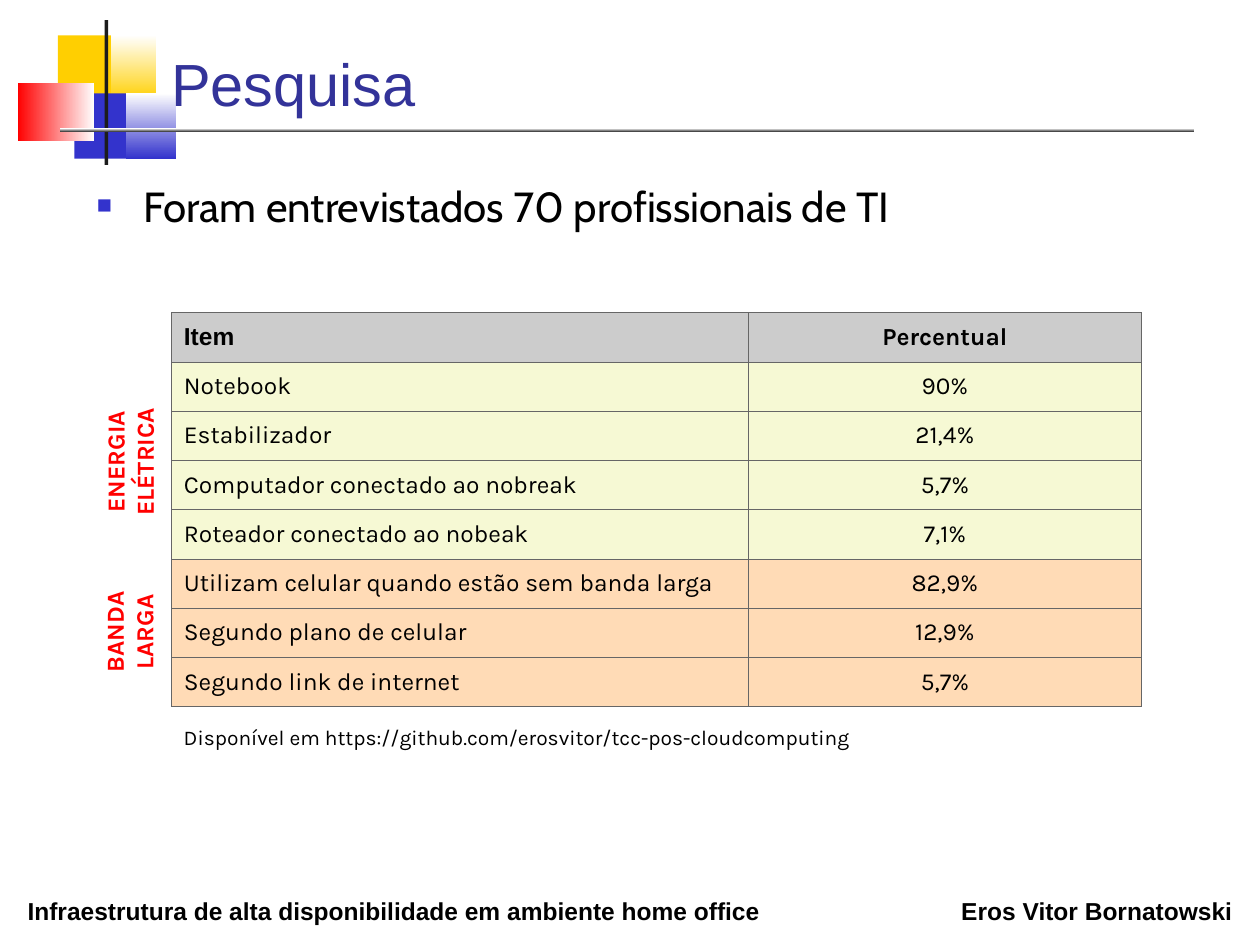
from lxml.etree import SubElement
from pptx import Presentation
from pptx.dml.color import RGBColor
from pptx.enum.shapes import MSO_SHAPE
from pptx.enum.text import MSO_ANCHOR as ANCHOR, MSO_AUTO_SIZE as AUTO_SIZE, PP_ALIGN as ALIGN
from pptx.oxml.ns import qn
from pptx.util import Inches, Pt

COLORS = {
    name: RGBColor.from_string(value)
    for name, value in {
        "yellow": "FFCF01", "blue": "3333CC", "red": "FF0000", "white": "FFFFFF",
        "dark": "1C1C1C", "black": "000000", "title": "333399", "border": "666666",
        "header": "CCCCCC", "energy": "F6F9D4", "broadband": "FFDBB6",
    }.items()
}


def write(paragraph, text, size, font="Karla", color="black", bold=False, align=ALIGN.LEFT):
    """Add one formatted run to a paragraph."""
    paragraph.alignment = align
    run = paragraph.add_run()
    run.text = text
    run.font.size = Pt(size)
    run.font.name = font
    run.font.bold = bold
    run.font.color.rgb = COLORS[color]


def add_box(left, top, width, height, wrap=False):
    """Add a text box; one that does not wrap grows with its text."""
    box = slide.shapes.add_textbox(Inches(left), Inches(top), Inches(width), Inches(height))
    box.text_frame.word_wrap = wrap
    box.text_frame.auto_size = AUTO_SIZE.NONE if wrap else AUTO_SIZE.SHAPE_TO_FIT_TEXT
    return box


presentation = Presentation()
presentation.slide_width = Inches(10)
presentation.slide_height = Inches(7.5)
slide = presentation.slides.add_slide(presentation.slide_layouts[6])

# Corner ornament: left, top, width, height, colours, gradient angle
ornament = slide.shapes.add_group_shape()
for left, top, width, height, colors, angle in [
    (0.46, 0.28, 0.48, 0.52, ["yellow"], None),
    (0.88, 0.28, 0.36, 0.52, ["yellow", "white"], 90),
    (0.59, 0.74, 0.46, 0.52, ["blue"], None),
    (1, 0.74, 0.4, 0.52, ["blue", "white"], 90),
    (0.14, 0.66, 0.61, 0.46, ["white", "red"], 180),
    (0.83, 0.16, 0.03, 1.15, ["dark"], None),
    (0.48, 1.02, 9, 0.03, ["dark", "white"], 90),
]:
    shape = ornament.shapes.add_shape(
        MSO_SHAPE.RECTANGLE, Inches(left), Inches(top), Inches(width), Inches(height))
    shape.shadow.inherit = False
    shape.line.fill.background()
    if angle is None:
        shape.fill.solid()
        shape.fill.fore_color.rgb = COLORS[colors[0]]
    else:
        shape.fill.gradient()
        shape.fill.gradient_angle = angle
        for stop, color in zip(shape.fill.gradient_stops, colors):
            stop.color.rgb = COLORS[color]

# Footer
for left, width, text, align in [
    (0.12, 6.02, "Infraestrutura de alta disponibilidade em ambiente home office", ALIGN.LEFT),
    (7.53, 2.35, "Eros Vitor Bornatowski", ALIGN.RIGHT),
]:
    footer = add_box(left, 7.06, width, 0.34)
    write(footer.text_frame.paragraphs[0], text, 14, "Arial", bold=True, align=align)

# Title and bullet
title = add_box(1.26, 0.31, 8.52, 0.68, wrap=True)
title.text_frame.vertical_anchor = ANCHOR.BOTTOM
write(title.text_frame.paragraphs[0], "Pesquisa", 34, "Arial", "title")

body = add_box(0.67, 1.38, 8.97, 1.22, wrap=True)
paragraph = body.text_frame.paragraphs[0]
properties = paragraph._p.get_or_add_pPr()
properties.set("marL", str(Inches(0.37)))
properties.set("indent", str(-Inches(0.37)))
bullet_color = SubElement(properties, qn("a:buClr"))
SubElement(bullet_color, qn("a:srgbClr"), val=str(COLORS["blue"]))
SubElement(properties, qn("a:buSzPct"), val="60000")
SubElement(properties, qn("a:buFont"), typeface="Arial")
SubElement(properties, qn("a:buChar"), char="■")
write(paragraph, "Foram entrevistados 70 profissionais de TI", 24, "Cabin")

# Survey table
rows = [
    ("Item", "Percentual", "header"),
    ("Notebook", "90%", "energy"),
    ("Estabilizador", "21,4%", "energy"),
    ("Computador conectado ao nobreak", "5,7%", "energy"),
    ("Roteador conectado ao nobeak", "7,1%", "energy"),
    ("Utilizam celular quando estão sem banda larga", "82,9%", "broadband"),
    ("Segundo plano de celular", "12,9%", "broadband"),
    ("Segundo link de internet", "5,7%", "broadband"),
]
table = slide.shapes.add_table(
    len(rows), 2, Inches(1.36), Inches(2.48), Inches(7.7), Inches(3.13)).table
table.first_row = False
table.horz_banding = False
table.columns[0].width = Inches(4.58)
table.columns[1].width = Inches(3.12)
for row_index, (item, percentage, fill) in enumerate(rows):
    for column, text in enumerate((item, percentage)):
        cell = table.cell(row_index, column)
        cell.vertical_anchor = ANCHOR.MIDDLE
        for side in ("lnL", "lnR", "lnT", "lnB"):
            border = SubElement(cell._tc.get_or_add_tcPr(), qn(f"a:{side}"), w=str(Pt(0.06)))
            border_fill = SubElement(border, qn("a:solidFill"))
            SubElement(border_fill, qn("a:srgbClr"), val=str(COLORS["border"]))
        cell.fill.solid()
        cell.fill.fore_color.rgb = COLORS[fill]
        write(cell.text_frame.paragraphs[0], text, 14,
              font="Arial" if text == "Item" else "Karla",
              bold=fill == "header",
              align=ALIGN.CENTER if column else ALIGN.LEFT)

source = add_box(1.36, 5.7, 5.83, 0.3)
write(source.text_frame.paragraphs[0],
      "Disponível em https://github.com/erosvitor/tcc-pos-cloudcomputing", 12)

# Rotated row-group labels
for left, top, width, lines in [
    (0.41, 3.38, 1.24, ("ENERGIA", "ELÉTRICA")),
    (0.54, 4.73, 0.97, ("BANDA", "LARGA")),
]:
    label = add_box(left, top, width, 0.57)
    label.rotation = 270
    frame = label.text_frame
    for index, line in enumerate(lines):
        paragraph = frame.add_paragraph() if index else frame.paragraphs[0]
        write(paragraph, line, 14, color="red", bold=True, align=ALIGN.CENTER)

presentation.save("out.pptx")
